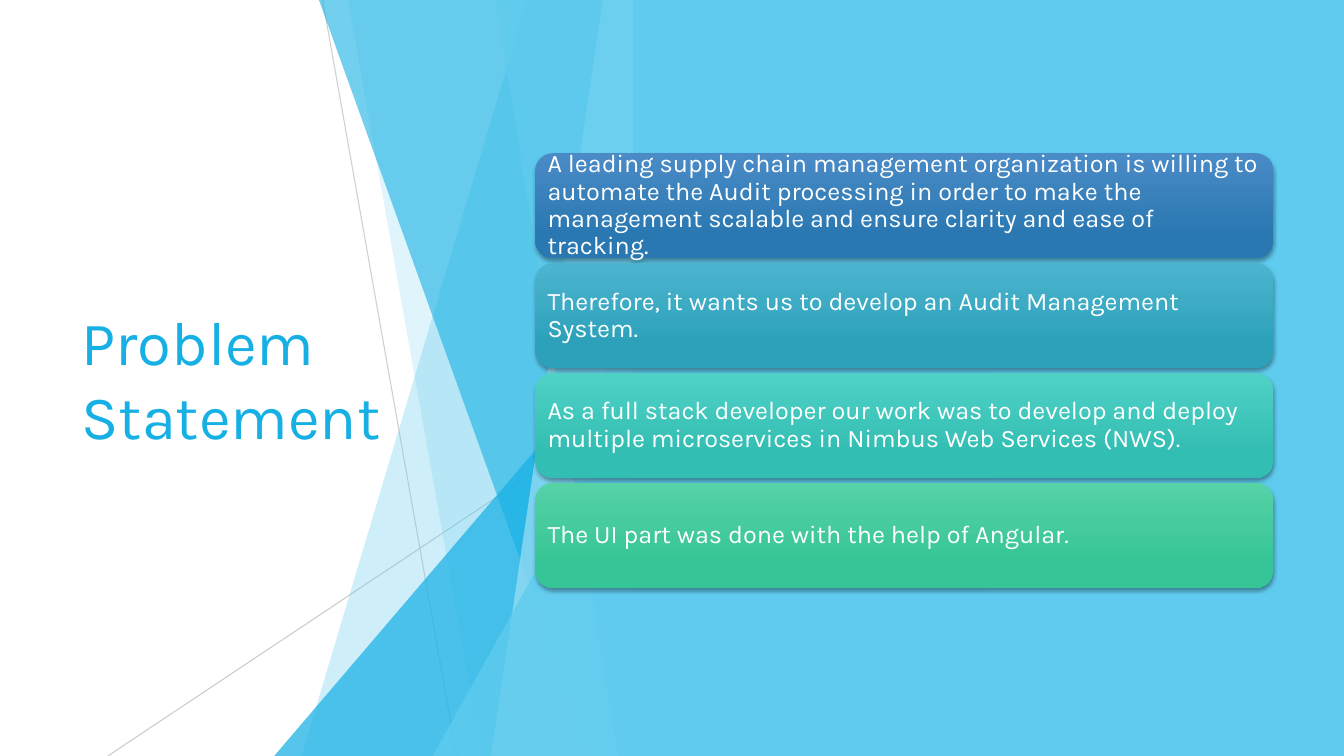
import pptx
import pptx.util
from lxml import etree
from pptx.dml.color import RGBColor
from pptx.enum.shapes import MSO_CONNECTOR, MSO_SHAPE
from pptx.enum.text import MSO_ANCHOR, MSO_AUTO_SIZE, PP_ALIGN
from pptx.oxml.ns import qn
from pptx.util import Inches

FONT = "Karla"
WHITE = RGBColor(0xFF, 0xFF, 0xFF)
GREY = RGBColor(0xBF, 0xBF, 0xBF)
SKY = RGBColor(0x5F, 0xCB, 0xEF)
PALE = RGBColor(0x9F, 0xE0, 0xF5)
BLUE = RGBColor(0x17, 0xB0, 0xE4)

PANEL_LEFT = 6.28
PAGE_WIDTH, PAGE_HEIGHT = 13.33, 7.5

# Each card: text, top colour, bottom colour
CARDS = [
    ("A leading supply chain management organization is willing to automate "
     "the Audit processing in order to make the management scalable and "
     "ensure clarity and ease of tracking.",
     RGBColor(0x4A, 0x8B, 0xC6), RGBColor(0x2A, 0x78, 0xB2)),
    ("Therefore, it wants us to develop an Audit Management System.",
     RGBColor(0x4C, 0xB4, 0xCE), RGBColor(0x2D, 0xA1, 0xBA)),
    ("As a full stack developer our work was to develop and deploy multiple "
     "microservices in Nimbus Web Services (NWS).",
     RGBColor(0x50, 0xD1, 0xC6), RGBColor(0x33, 0xBE, 0xB3)),
    ("The UI part was done with the help of Angular.",
     RGBColor(0x56, 0xD2, 0xA7), RGBColor(0x36, 0xC5, 0x96)),
]


def set_opacity(element, percent):
    color = next(element.iter(qn("a:srgbClr")))
    etree.SubElement(color, qn("a:alpha"), val=str(percent * 1000))


def paint(shape, color, opacity=100):
    """Give a flat fill without line or shadow."""
    shape.shadow.inherit = False
    shape.fill.solid()
    shape.fill.fore_color.rgb = color
    shape.line.fill.background()
    if opacity < 100:
        set_opacity(shape.element.spPr, opacity)


def add_ray(page, start, end, opacity):
    ray = page.shapes.add_connector(
        MSO_CONNECTOR.STRAIGHT, *map(Inches, start + end))
    ray.line.color.rgb = GREY
    ray.line.width = pptx.util.Pt(0.75)
    set_opacity(ray.element.spPr, opacity)
    etree.SubElement(ray.element.spPr, qn("a:effectLst"))


def add_shard(page, top_left, bottom_left, color, opacity):
    """Add a full-height shard that ends at the panel's left edge."""
    top = Inches(-0.01)
    bottom, right = Inches(PAGE_HEIGHT), Inches(PANEL_LEFT)
    builder = page.shapes.build_freeform(Inches(top_left), top)
    builder.add_line_segments(
        [(right, top), (right, bottom), (Inches(bottom_left), bottom)])
    paint(builder.convert_to_shape(), color, opacity)


def add_corner(page, left, top, color, opacity):
    """Add a right triangle in the corner where the panel meets the bottom."""
    corner = page.shapes.add_shape(
        MSO_SHAPE.ISOSCELES_TRIANGLE, Inches(left), Inches(top),
        Inches(PANEL_LEFT - left), Inches(PAGE_HEIGHT - top))
    corner.adjustments[0] = 1
    paint(corner, color, opacity)


def add_shadow(shape):
    shape.shadow.inherit = False
    effects = shape.element.spPr.find(qn("a:effectLst"))
    shadow = etree.SubElement(
        effects, qn("a:outerShdw"), blurRad=str(pptx.util.Pt(3)),
        dist=str(pptx.util.Pt(2)), dir="5400000", rotWithShape="0")
    color = etree.SubElement(shadow, qn("a:srgbClr"), val="000000")
    etree.SubElement(color, qn("a:alpha"), val="35000")


def add_span(para, text, size, color):
    span = para.add_run()
    span.text = text
    span.font.name = FONT
    span.font.size = pptx.util.Pt(size)
    span.font.color.rgb = color


def add_card(page, top, text, top_color, bottom_color):
    card = page.shapes.add_shape(
        MSO_SHAPE.ROUNDED_RECTANGLE, Inches(5.31), Inches(top),
        Inches(7.32), Inches(1.04))
    card.fill.gradient()
    card.fill.gradient_angle = 270
    stops = zip(card.fill.gradient_stops, (0, 0.78), (top_color, bottom_color))
    for stop, position, color in stops:
        stop.position = position
        stop.color.rgb = color
    card.line.fill.background()
    add_shadow(card)

    frame = card.text_frame
    frame.word_wrap = True
    frame.vertical_anchor = MSO_ANCHOR.MIDDLE
    frame.margin_left = frame.margin_right = Inches(0.07)
    frame.margin_top = frame.margin_bottom = Inches(0.07)
    para = frame.paragraphs[0]
    para.alignment = PP_ALIGN.LEFT
    para.line_spacing = 0.9
    add_span(para, text, 18, WHITE)


def format_title(page, text):
    title = page.shapes.title
    title.left, title.top = Inches(0.71), Inches(1.51)
    title.width, title.height = Inches(3.88), Inches(4.48)
    frame = title.text_frame
    frame.word_wrap = True
    frame.auto_size = MSO_AUTO_SIZE.NONE
    frame.vertical_anchor = MSO_ANCHOR.MIDDLE
    para = frame.paragraphs[0]
    para.alignment = PP_ALIGN.LEFT
    add_span(para, text, 44, BLUE)
    # Bring the title in front of the shards
    title.element.getparent().append(title.element)


def main():
    deck = pptx.Presentation()
    deck.slide_width = Inches(PAGE_WIDTH)
    deck.slide_height = Inches(PAGE_HEIGHT)
    page = deck.slides.add_slide(deck.slide_layouts.get_by_name("Title Only"))

    add_ray(page, (3.2, 0), (4.53, PAGE_HEIGHT), 75)
    add_ray(page, (PANEL_LEFT, 4.03), (1.07, PAGE_HEIGHT), 80)
    add_shard(page, 5.23, 2.99, SKY, 30)
    add_shard(page, 3.45, 4.78, SKY, 20)
    add_corner(page, 2.72, 3.33, BLUE, 72)
    add_shard(page, 3.16, 5.86, BLUE, 60)
    add_shard(page, 5.98, 4.87, PALE, 70)
    add_shard(page, 4.91, 6.13, SKY, 65)
    add_corner(page, 4.29, 3.93, SKY, 80)

    format_title(page, "Problem Statement")

    panel = page.shapes.add_shape(
        MSO_SHAPE.RECTANGLE, Inches(PANEL_LEFT), 0,
        Inches(PAGE_WIDTH - PANEL_LEFT), Inches(PAGE_HEIGHT))
    paint(panel, SKY)
    for index, card in enumerate(CARDS):
        add_card(page, 1.52 + 1.09 * index, *card)

    deck.save("out.pptx")


if __name__ == "__main__":
    main()
